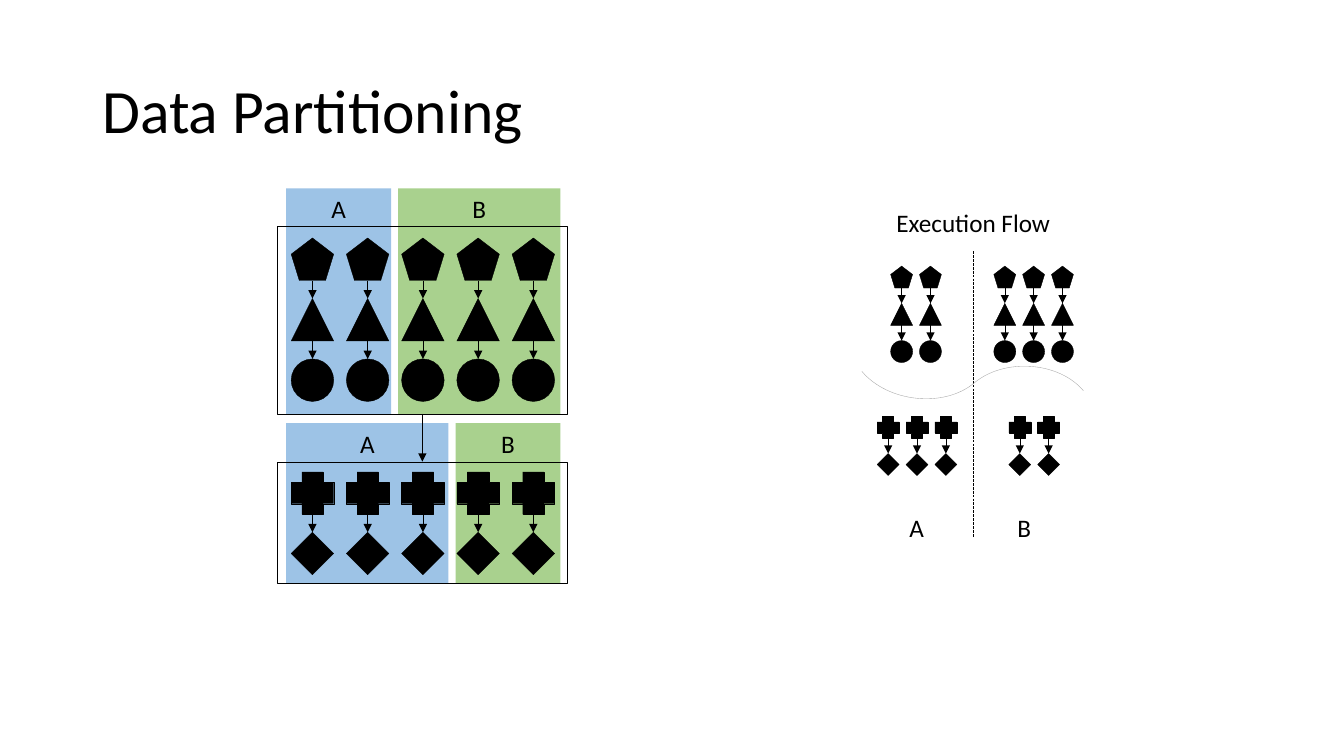
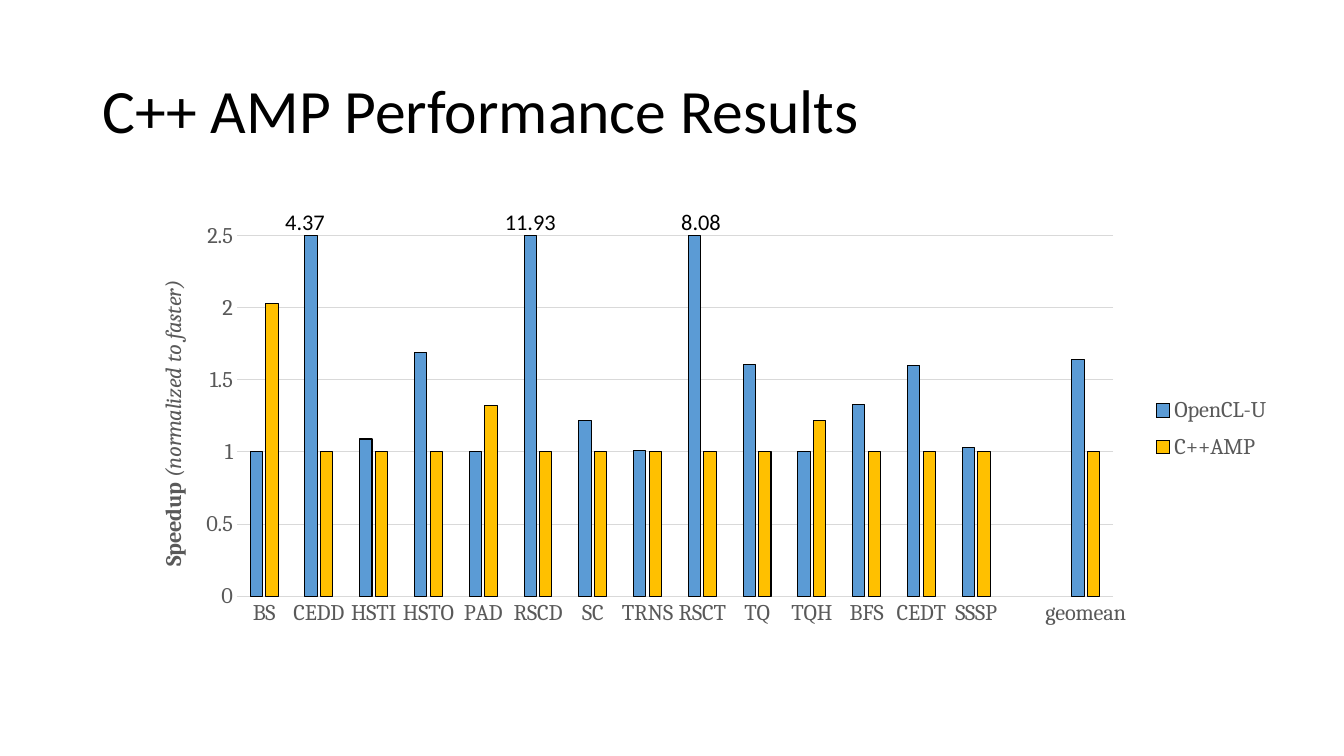
from dataclasses import dataclass

from lxml import etree
from pptx import Presentation
from pptx import util as u
from pptx.chart.data import CategoryChartData
from pptx.dml.color import RGBColor
from pptx.enum import chart as charts
from pptx.enum import dml, shapes, text
from pptx.oxml.ns import qn

# Shared look
BLACK, WHITE, GRAY = "000000", "FFFFFF", "595959"
RULE, CURVE = "D9D9D9", "A6A6A6"
BLUE, GREEN = "9DC3E6", "A9D18E"
BODY_FONT, CHART_FONT = "Calibri", "Cambria"
HAIRLINE = 0.25
KIND = shapes.MSO_SHAPE
ALIGN = text.PP_ALIGN


@dataclass(frozen=True)
class Scale:
    """Glyph size and the distances between columns and rows."""
    size: float
    across: float
    down: float


@dataclass(frozen=True)
class Tasks:
    """Columns of glyphs, each one a chain linked by arrows."""
    kinds: tuple
    left: float
    top: float
    count: int
    scale: Scale


@dataclass(frozen=True)
class Stage:
    """Two bands, A and B, with a frame over their lower part."""
    top: float
    height: float
    a_width: float
    frame_top: float


@dataclass(frozen=True)
class Label:
    content: str
    left: float
    top: float
    width: float
    height: float
    align: ALIGN = ALIGN.CENTER


LARGE = Scale(30.4, 39.45, 43.2)
SMALL = Scale(15.7, 20.6, 26.6)
FIRST = (KIND.REGULAR_PENTAGON, KIND.ISOSCELES_TRIANGLE, KIND.OVAL)
SECOND = (KIND.CROSS, KIND.DIAMOND)

TASKS = (
    Tasks(FIRST, 208, 170, 5, LARGE),
    Tasks(SECOND, 208, 337, 5, LARGE),
    Tasks(FIRST, 636.2, 190.1, 2, SMALL),
    Tasks(FIRST, 709.9, 190.1, 3, SMALL),
    Tasks(SECOND, 626.6, 297.4, 3, SMALL),
    Tasks(SECOND, 720.6, 297.4, 2, SMALL),
)

BAND_LEFT, BAND_GAP, BAND_TOTAL = 204.4, 5, 191
FRAME_LEFT, FRAME_WIDTH = 198, 207.4
STAGES = (Stage(134.6, 161, 75, 161.4), Stage(302.2, 114.5, 116, 329.8))

FLOW_LABELS = (
    Label("Execution Flow", 630, 144.7, 130.3, 29),
    Label("A", 642.2, 362.2, 25.2, 29),
    Label("B", 719.3, 362.2, 24.5, 29),
)
CLIPPED_VALUES = (
    Label("4.37", 196.6, 145.4, 42.5, 26.6),
    Label("11.93", 353.5, 145.4, 51.1, 26.6, ALIGN.LEFT),
    Label("8.08", 479.5, 145.4, 42.5, 26.6, ALIGN.LEFT),
)

CATEGORIES = ("BS", "CEDD", "HSTI", "HSTO", "PAD", "RSCD", "SC", "TRNS", "RSCT",
              "TQ", "TQH", "BFS", "CEDT", "SSSP", "", "geomean")
SERIES = {
    "OpenCL-U": ("5B9BD5", (1, 4.37, 1.09, 1.69, 1, 11.93, 1.22, 1.01, 8.08,
                            1.61, 1, 1.33, 1.6, 1.03, None, 1.64)),
    "C++AMP": ("FFC000", (2.03, 1, 1, 1, 1.32, 1, 1, 1, 1,
                          1, 1.22, 1, 1, 1, None, 1)),
}


# Formatting helpers
def color(value: str) -> RGBColor:
    return RGBColor.from_string(value)


def points(*lengths: float) -> list:
    return [u.Pt(length) for length in lengths]


def style_font(font, name: str, size: float, fill: str, bold=None, italic=None) -> None:
    font.name, font.size = name, u.Pt(size)
    font.bold, font.italic = bold, italic
    font.color.rgb = color(fill)


def style_line(line, fill: str, width: float) -> None:
    line.color.rgb = color(fill)
    line.width = u.Pt(width)


def write(box, content: str, *, size=18, align=ALIGN.LEFT, wrap=True,
          anchor=text.MSO_ANCHOR.TOP, spacing=None) -> None:
    frame = box.text_frame
    frame.word_wrap = wrap
    frame.vertical_anchor = anchor
    para = frame.paragraphs[0]
    para.alignment = align
    para.line_spacing = spacing
    span = para.add_run()
    span.text = content
    style_font(span.font, BODY_FONT, size, BLACK)


# Drawing helpers
def add_page(deck, title: str):
    page = deck.slides.add_slide(deck.slide_layouts[6])
    page.background.fill.solid()
    page.background.fill.fore_color.rgb = color(WHITE)
    box = page.shapes.add_textbox(*points(66, 28.75, 828, 104.4))
    write(box, title, size=44, anchor=text.MSO_ANCHOR.MIDDLE, spacing=0.9)
    return page


def add_label(page, label: Label, size: float) -> None:
    box = page.shapes.add_textbox(*points(label.left, label.top, label.width, label.height))
    write(box, label.content, size=size, align=label.align, wrap=False)


def add_block(page, kind, left: float, top: float, width: float, height: float,
              fill: str | None = None, outline: str | None = None):
    block = page.shapes.add_shape(kind, *points(left, top, width, height))
    block.shadow.inherit = False
    if fill:
        block.fill.solid()
        block.fill.fore_color.rgb = color(fill)
    else:
        block.fill.background()
    if outline:
        style_line(block.line, outline, HAIRLINE)
    else:
        block.line.fill.background()
    return block


def add_link(page, x1: float, y1: float, x2: float, y2: float, *, fill=BLACK,
             arrow=False, kind=shapes.MSO_CONNECTOR.STRAIGHT):
    link = page.shapes.add_connector(kind, *points(x1, y1, x2, y2))
    style_line(link.line, fill, HAIRLINE)
    properties = link._element.spPr
    if arrow:
        etree.SubElement(properties.find(qn("a:ln")), qn("a:tailEnd"), type="triangle")
    etree.SubElement(properties, qn("a:effectLst"))
    return link


def draw_tasks(page, tasks: Tasks) -> None:
    scale = tasks.scale
    for column in range(tasks.count):
        left = tasks.left + column * scale.across
        middle = left + scale.size / 2
        for row, kind in enumerate(tasks.kinds):
            top = tasks.top + row * scale.down
            add_block(page, kind, left, top, scale.size, scale.size, BLACK, BLACK)
            if row:
                add_link(page, middle, top - scale.down + scale.size, middle, top, arrow=True)


def draw_stage(page, stage: Stage):
    b_left = BAND_LEFT + stage.a_width + BAND_GAP
    bands = (("A", BLUE, BAND_LEFT, stage.a_width),
             ("B", GREEN, b_left, BAND_TOTAL - stage.a_width))
    for name, fill, left, width in bands:
        band = add_block(page, KIND.RECTANGLE, left, stage.top, width, stage.height, fill)
        write(band, name, align=ALIGN.CENTER)
    height = stage.top + stage.height - stage.frame_top
    return add_block(page, KIND.RECTANGLE, FRAME_LEFT, stage.frame_top,
                     FRAME_WIDTH, height, outline=BLACK)


# Chart helpers
def place(parent, index: int, **fractions: float) -> None:
    """Fix the layout of a chart part as fractions of the chart."""
    layout = parent.find(qn("c:layout"))
    if layout is None:
        layout = etree.Element(qn("c:layout"))
        parent.insert(index, layout)
    manual = etree.SubElement(layout, qn("c:manualLayout"))
    if parent.tag == qn("c:plotArea"):
        etree.SubElement(manual, qn("c:layoutTarget"), val="inner")
    for mode in ("xMode", "yMode"):
        etree.SubElement(manual, qn(f"c:{mode}"), val="edge")
    for name, value in fractions.items():
        etree.SubElement(manual, qn(f"c:{name}"), val=str(value))


def style_axes(chart) -> None:
    for axis in (chart.category_axis, chart.value_axis):
        axis.major_tick_mark = axis.minor_tick_mark = charts.XL_TICK_MARK.NONE
        style_font(axis.tick_labels.font, CHART_FONT, 16, GRAY)
    style_line(chart.category_axis.format.line, RULE, 0.75)

    axis = chart.value_axis
    axis.minimum_scale, axis.maximum_scale, axis.major_unit = 0, 2.5, 0.5
    axis.format.line.fill.background()
    style_line(axis.major_gridlines.format.line, RULE, 0.75)

    para = axis.axis_title.text_frame.paragraphs[0]
    for content, bold in (("Speedup ", True), ("(normalized to faster)", False)):
        span = para.add_run()
        span.text = content
        style_font(span.font, CHART_FONT, 16, GRAY, bold=bold, italic=not bold)
    title = axis.axis_title._element
    direction = title.find(".//" + qn("a:bodyPr"))
    direction.set("rot", "-5400000")
    direction.set("vert", "horz")
    place(title, 1, x=0.02, y=0.15)


def draw_speedup_chart(page) -> None:
    data = CategoryChartData()
    data.categories = CATEGORIES
    for name, (_, values) in SERIES.items():
        data.add_series(name, values)
    chart = page.shapes.add_chart(charts.XL_CHART_TYPE.COLUMN_CLUSTERED,
                                  *points(95, 153.4, 823.7, 299.5), data).chart
    style_font(chart.font, CHART_FONT, 16, BLACK)
    chart.has_title = False
    style_axes(chart)

    plot = chart.plots[0]
    plot.gap_width, plot.overlap = 219, -27
    plot.vary_by_categories = False
    for series, (fill, _) in zip(plot.series, SERIES.values()):
        series.format.fill.solid()
        series.format.fill.fore_color.rgb = color(fill)
        style_line(series.format.line, BLACK, 0.75)

    chart.has_legend = True
    chart.legend.position = charts.XL_LEGEND_POSITION.RIGHT
    chart.legend.include_in_layout = False
    style_font(chart.legend.font, CHART_FONT, 16, GRAY)
    place(chart.legend._element, 1, x=0.88, y=0.41, w=0.11, h=0.2)
    place(chart._chartSpace.find(".//" + qn("c:plotArea")), 0, x=0.09, y=0.05, w=0.76, h=0.86)


# Slides
def build_partitioning(deck) -> None:
    page = add_page(deck, "Data Partitioning")
    upper, lower = [draw_stage(page, stage) for stage in STAGES]
    for tasks in TASKS:
        draw_tasks(page, tasks)
    handover = add_link(page, 301.7, 295.6, 301.7, 329.8, arrow=True)
    handover.begin_connect(upper, 2)
    handover.end_connect(lower, 0)

    # Execution flow: divider between A and B, wave between the stages
    divider = add_link(page, 694.8, 179.3, 694.8, 383.8)
    divider.line.dash_style = dml.MSO_LINE.LONG_DASH
    wave = add_link(page, 638.6, 328.3, 750.9, 216, fill=CURVE,
                    kind=shapes.MSO_CONNECTOR.CURVE)
    properties = wave._element.spPr
    properties.find(qn("a:xfrm")).set("rot", str(50 * 60000))
    adjustments = properties.find(qn("a:prstGeom")).find(qn("a:avLst"))
    etree.SubElement(adjustments, qn("a:gd"), name="adj1", fmla="val 51600")
    for label in FLOW_LABELS:
        add_label(page, label, 18)


def build_results(deck) -> None:
    page = add_page(deck, "C++ AMP Performance Results")
    draw_speedup_chart(page)
    for label in CLIPPED_VALUES:
        add_label(page, label, 16)


def main() -> None:
    deck = Presentation()
    deck.slide_width, deck.slide_height = points(960, 540)
    build_partitioning(deck)
    build_results(deck)
    deck.save("out.pptx")


if __name__ == "__main__":
    main()
